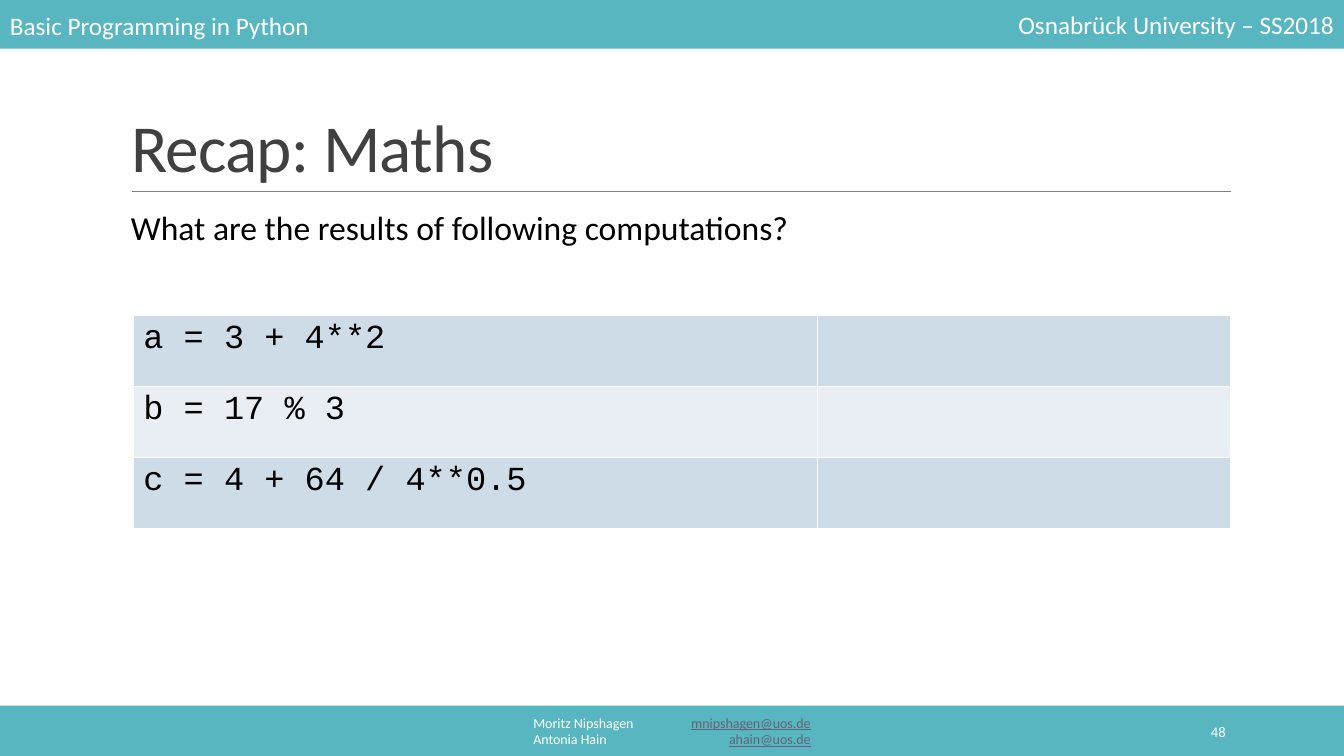
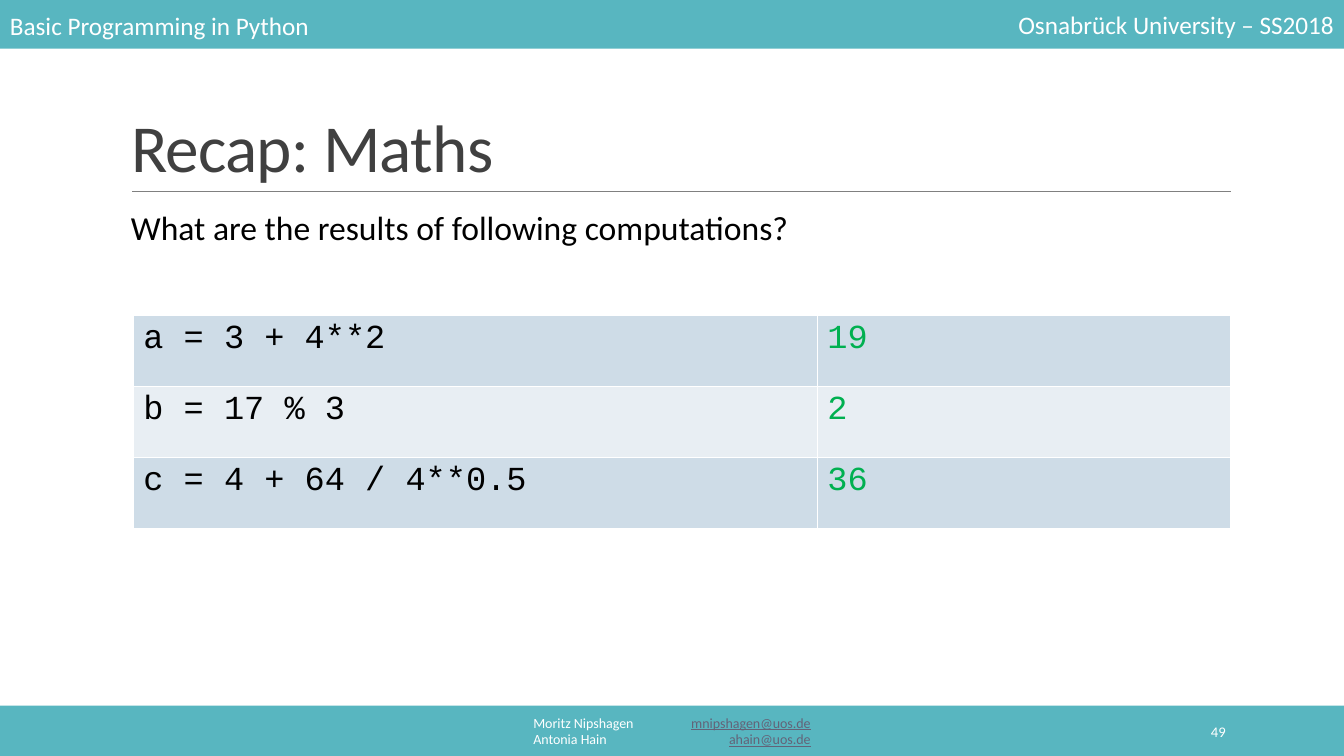
from lxml.etree import SubElement
from pptx import Presentation
from pptx.dml.color import RGBColor
from pptx.enum.shapes import MSO_CONNECTOR as Connector, MSO_SHAPE as Shape
from pptx.enum.text import MSO_ANCHOR as Anchor, MSO_AUTO_SIZE as AutoSize, PP_ALIGN as Align
from pptx.oxml.ns import qn
from pptx.util import Cm, Pt

WIDTH, HEIGHT = 33.87, 19.05
TEAL, WHITE, BLACK, GREEN = "58B6C0", "FFFFFF", "000000", "00B050"
DARK, RULE, LINK = "404040", "808080", "636378"
ROW_FILLS = ["CEDCE7", "E8EEF3"]
SANS, MONO = "Calibri", "Courier New"
AUTHORS = [("Moritz Nipshagen", "mnipshagen@uos.de"), ("Antonia Hain", "ahain@uos.de")]
EXPRESSIONS = ["a = 3 + 4**2", "b = 17 % 3", "c = 4 + 64 / 4**0.5"]
RESULTS = ["19", "2", "36"]


def colour(code):
    """Turn a hex string into a colour."""
    return RGBColor.from_string(code)


def style(font, size, code, name=SANS):
    """Set the face, size and colour of a font."""
    font.name, font.size = name, Pt(size)
    font.color.rgb = colour(code)


def place(shape, box):
    """Move a shape to a box of left, top, width and height in centimetres."""
    shape.left, shape.top, shape.width, shape.height = map(Cm, box)


def add_band(page, box):
    """Draw a plain teal band."""
    band = page.shapes.add_shape(Shape.RECTANGLE, *map(Cm, box))
    band.shadow.inherit = False
    band.fill.solid()
    band.fill.fore_color.rgb = colour(TEAL)
    band.line.fill.background()


def add_text(page, box, text, size, code=WHITE, align=Align.LEFT, anchor=Anchor.MIDDLE):
    """Add a one-paragraph text box and return its frame."""
    frame = page.shapes.add_textbox(*map(Cm, box)).text_frame
    frame.word_wrap = True
    frame.vertical_anchor = anchor
    para = frame.paragraphs[0]
    para.text, para.alignment = text, align
    for span in para.runs:
        style(span.font, size, code)
    return frame


def add_header(page, box):
    """Draw the top band with the course on the left and the term on the right."""
    left, top, width, height = box
    text_width = 13.39
    add_band(page, box)
    add_text(page, (left, top + 0.13, text_width, 1.02), "Basic Programming in Python", 18)
    add_text(page, (left + width - text_width, top + 0.1, text_width, 1.02),
             "Osnabrück University – SS2018", 18, align=Align.RIGHT)


def add_authors(page, box):
    """List the authors and their addresses, split by a right tab stop."""
    frame = add_text(page, box, "", 10)
    for index, (name, address) in enumerate(AUTHORS):
        para = frame.add_paragraph() if index else frame.paragraphs[0]
        para.alignment = Align.CENTER
        tabs = SubElement(para._p.get_or_add_pPr(), qn("a:tabLst"))
        SubElement(tabs, qn("a:tab"), pos=str(Cm(6.99)), algn="r")
        for text, code in [(name + "\t", WHITE), (address, LINK)]:
            span = para.add_run()
            span.text = text
            style(span.font, 10, code)
            span.font.underline = code == LINK


def add_footer(page, box, number):
    """Draw the bottom band with the authors and the page number."""
    left, top, width, height = box
    add_band(page, box)
    add_authors(page, (left + (width - 13.39) / 2, top + 0.13, 13.39, 1.02))
    add_text(page, (left + width - 6.36, top + 0.15, 3.63, 1.02), str(number), 10.5,
             align=Align.RIGHT)


def add_title(page, box, text):
    """Fill the title placeholder and rule a line along its lower edge."""
    left, top, width, height = box
    title = page.shapes.title
    place(title, box)
    frame = title.text_frame
    frame.text = text
    frame.auto_size = AutoSize.NONE
    frame.vertical_anchor = Anchor.BOTTOM
    para = frame.paragraphs[0]
    para.alignment, para.line_spacing = Align.LEFT, 0.85
    span = para.runs[0]
    style(span.font, 48, DARK)
    span.font._element.set("spc", "-50")
    bottom = Cm(top + height)
    rule = page.shapes.add_connector(Connector.STRAIGHT, Cm(left + 0.28), bottom,
                                     Cm(left + width + 0.02), bottom)
    rule.line.color.rgb = colour(RULE)
    rule.line.width = Pt(0.5)
    SubElement(rule._element.spPr, qn("a:effectLst"))


def format_cell(cell, text, code, fill):
    """Write a cell with white borders and a solid fill."""
    properties = cell._tc.get_or_add_tcPr()
    for side in ("lnL", "lnR", "lnT", "lnB"):
        border = SubElement(properties, qn("a:" + side), w=str(Pt(1)))
        paint = SubElement(border, qn("a:solidFill"))
        SubElement(paint, qn("a:srgbClr"), val=WHITE)
    cell.fill.solid()
    cell.fill.fore_color.rgb = colour(fill)
    cell.text = text
    style(cell.text_frame.paragraphs[0].font, 24, code, MONO)
    for span in cell.text_frame.paragraphs[0].runs:
        style(span.font, 24, code, MONO)


def add_computations(page, box, results):
    """Build the table of expressions and their results."""
    left, top, width, height = box
    rows = list(zip(EXPRESSIONS, results))
    table = page.shapes.add_table(len(rows), 2, *map(Cm, box)).table
    table.first_row = table.horz_banding = False
    expression_width = 17.24
    table.columns[0].width = Cm(expression_width)
    table.columns[1].width = Cm(width - expression_width)
    for index, (expression, result) in enumerate(rows):
        fill = ROW_FILLS[index % 2]
        format_cell(table.cell(index, 0), expression, BLACK, fill)
        format_cell(table.cell(index, 1), result, GREEN, fill)


def add_recap(deck, number, results):
    """Add one recap page with its bands, question and table."""
    page = deck.slides.add_slide(deck.slide_layouts[5])
    add_footer(page, (0, 17.78, WIDTH, 1.27), number)
    add_header(page, (0, 0, WIDTH, 1.23))
    add_title(page, (3.05, 2.75, 27.94, 2.08), "Recap: Maths")
    add_text(page, (3.05, 5.08, 28, 1.28), "What are the results of following computations?",
             24, BLACK, anchor=Anchor.TOP)
    add_computations(page, (3.36, 7.96, 27.66, 5.35), results)


def main():
    """Build and save the deck."""
    deck = Presentation()
    deck.slide_width, deck.slide_height = Cm(WIDTH), Cm(HEIGHT)
    for number, results in enumerate([[""] * len(EXPRESSIONS), RESULTS], start=48):
        add_recap(deck, number, results)
    deck.save("out.pptx")


if __name__ == "__main__":
    main()
